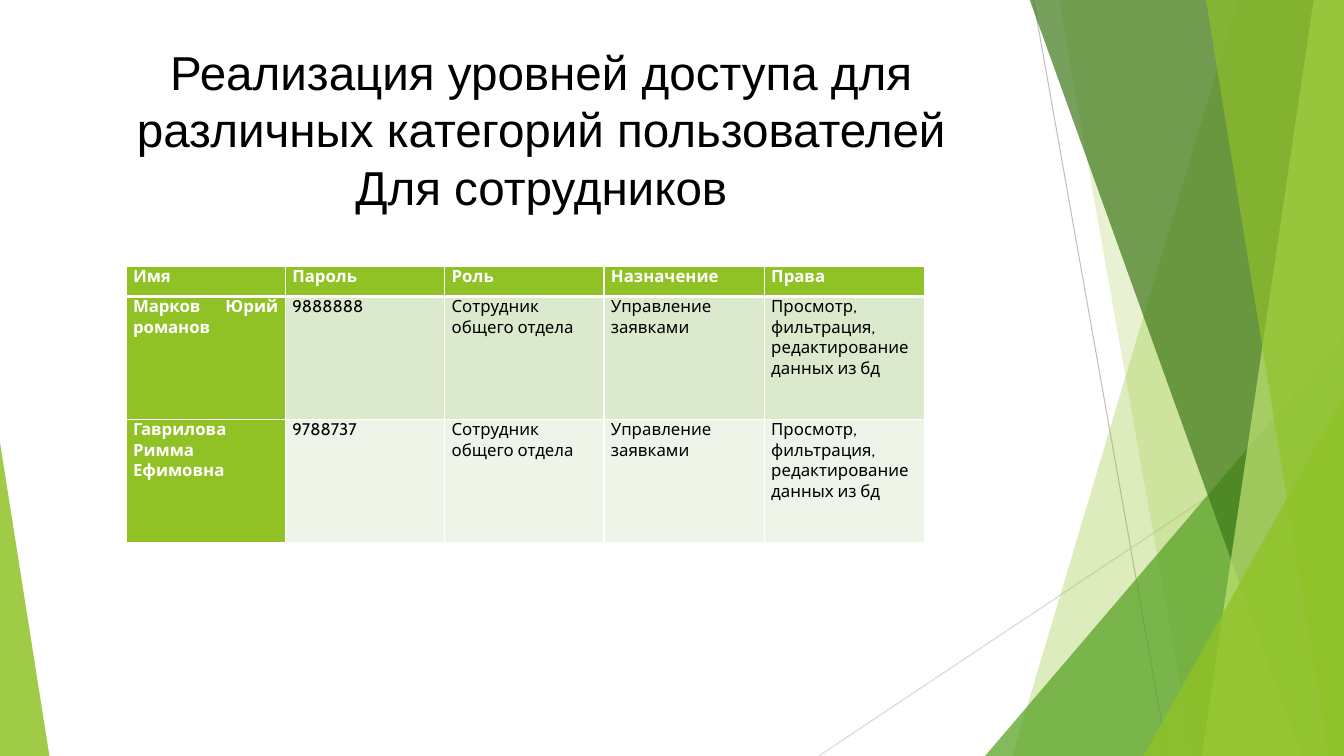
import pptx
import pptx.util
import pptx.dml.color
import pptx.enum.shapes
import pptx.enum.text
import pptx.oxml
import pptx.oxml.ns
from lxml import etree

Inches = pptx.util.Inches
Pt = pptx.util.Pt
RGBColor = pptx.dml.color.RGBColor
qn = pptx.oxml.ns.qn

LIME = RGBColor(0x90, 0xC2, 0x26)
GREEN = RGBColor(0x54, 0xA0, 0x21)
DARK = RGBColor(0x3F, 0x78, 0x19)
PALE = RGBColor(0xC0, 0xE4, 0x74)
GREY = RGBColor(0xBF, 0xBF, 0xBF)
SILVER = RGBColor(0xD9, 0xD9, 0xD9)
BAND = RGBColor(0xDB, 0xE9, 0xCD)
LIGHT = RGBColor(0xEE, 0xF4, 0xE8)
WHITE = RGBColor(0xFF, 0xFF, 0xFF)
BLACK = RGBColor(0, 0, 0)

WIDTH, HEIGHT = 13.33, 7.5


def paint(shape, color, alpha):
    """Fill a shape with a see-through colour; alpha is opacity in percent."""
    shape.shadow.inherit = False
    shape.line.fill.background()
    shape.fill.solid()
    shape.fill.fore_color.rgb = color
    node = shape.fill._xPr.find(".//" + qn("a:srgbClr"))
    etree.SubElement(node, qn("a:alpha"), val=str(alpha * 1000))


def edge(cell, side, points):
    """Append a white border line to the cell."""
    line = etree.Element(qn("a:ln" + side), w=str(Pt(points)))
    fill = etree.SubElement(line, qn("a:solidFill"))
    etree.SubElement(fill, qn("a:srgbClr"), val=str(WHITE))
    cell._tc.get_or_add_tcPr().append(line)


deck = pptx.Presentation()
deck.slide_width = Inches(WIDTH)
deck.slide_height = Inches(HEIGHT)
slide = deck.slides.add_slide(deck.slide_layouts[6])
shapes = slide.shapes

# Thin lines behind the facets
for x1, y1, x2, y2, color in [
    (10.25, 0, 11.58, HEIGHT, GREY),
    (WIDTH, 4.03, 8.12, HEIGHT, SILVER),
]:
    line = shapes.add_connector(
        pptx.enum.shapes.MSO_CONNECTOR.STRAIGHT,
        Inches(x1), Inches(y1), Inches(x2), Inches(y2))
    line.line.color.rgb = color
    line.line.width = Pt(0.75)
    etree.SubElement(line._element.spPr, qn("a:effectLst"))

# Facets: a band takes its top and bottom left x, a triangle its box and apex
facets = [
    ("band", (12.28, 10.04), LIME, 30),
    ("band", (10.5, 11.83), LIME, 20),
    ("triangle", (9.77, 3.33, 3.56, 1), GREEN, 72),
    ("band", (10.21, 12.91), DARK, 70),
    ("band", (13.03, 11.92), PALE, 70),
    ("band", (11.96, 13.18), LIME, 65),
    ("triangle", (11.34, 3.93, 1.99, 1), LIME, 80),
    ("triangle", (0, 4.39, 0.49, 0), LIME, 85),
]
for kind, place, color, alpha in facets:
    if kind == "band":
        top, base = place
        form = shapes.build_freeform(Inches(top), Inches(-0.01))
        form.add_line_segments([
            (Inches(x), Inches(y)) for x, y in
            [(WIDTH, -0.01), (WIDTH, HEIGHT), (base, HEIGHT)]])
        facet = form.convert_to_shape()
    else:
        left, top, width, apex = place
        facet = shapes.add_shape(
            pptx.enum.shapes.MSO_SHAPE.ISOSCELES_TRIANGLE,
            Inches(left), Inches(top), Inches(width), Inches(HEIGHT - top))
        facet.adjustments[0] = apex
    paint(facet, color, alpha)

# Title
title = shapes.add_textbox(Inches(0.67), Inches(0.38), Inches(9.4), Inches(1.8))
frame = title.text_frame
frame.word_wrap = True
frame.text = ("Реализация уровней доступа для различных категорий пользователей"
              "\vДля сотрудников")
para = frame.paragraphs[0]
para.alignment = pptx.enum.text.PP_ALIGN.CENTER
for run in para.runs:
    run.font.name = "Arial"
    run.font.size = Pt(34)
    run.font.color.rgb = BLACK

# Staff table
role = ["Сотрудник общего отдела", "Управление заявками",
        "Просмотр, фильтрация, редактирование данных из бд"]
rows = [
    ["Имя", "Пароль", "Роль", "Назначение", "Права"],
    ["Марков Юрий романов", "9888888"] + role,
    ["Гаврилова Римма Ефимовна", "9788737"] + role,
]
table = shapes.add_table(
    3, 5, Inches(1.25), Inches(2.64), Inches(7.93), Inches(2.74)).table
for col, width in zip(table.columns, [1.58, 1.58, 1.58, 1.59, 1.59]):
    col.width = Inches(width)
for row, height in zip(table.rows, [0.3, 1.22, 1.22]):
    row.height = Inches(height)

for i, texts in enumerate(rows):
    for j, text in enumerate(texts):
        cell = table.cell(i, j)
        head = i == 0 or j == 0
        for side in "LRTB":
            thick = (i, side) in [(0, "B"), (1, "T")]
            edge(cell, side, 3 if thick else 1)
        cell.fill.solid()
        cell.fill.fore_color.rgb = LIME if head else (BAND if i == 1 else LIGHT)
        cell.margin_left = cell.margin_right = Inches(0.07)
        cell.margin_top = cell.margin_bottom = 0
        cell.text_frame.text = text
        para = cell.text_frame.paragraphs[0]
        para.alignment = pptx.enum.text.PP_ALIGN.JUSTIFY
        font = para.runs[0].font
        font.name = "Cabin"
        font.size = Pt(12)
        font.bold = head
        font.color.rgb = WHITE if head else BLACK

deck.save("out.pptx")
